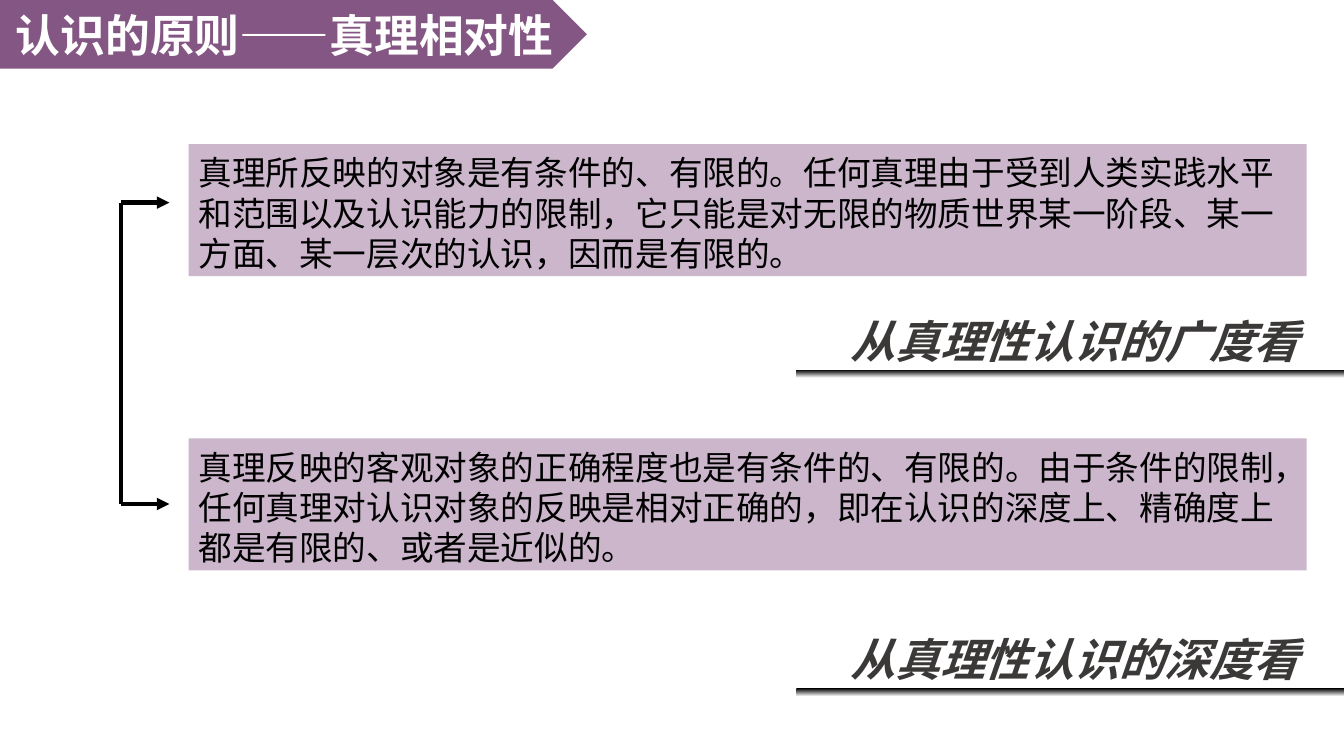
from dataclasses import dataclass

import pptx
import pptx.dml.color
import pptx.enum.shapes
import pptx.enum.text
import pptx.oxml.ns
import pptx.util
from lxml import etree

TITLE = "认识的原则——真理相对性"
VIEWS = [
    ("真理所反映的对象是有条件的、有限的。任何真理由于受到人类实践水平和范围以及认识能力的限制，"
     "它只能是对无限的物质世界某一阶段、某一方面、某一层次的认识，因而是有限的。",
     "从真理性认识的广度看"),
    ("真理反映的客观对象的正确程度也是有条件的、有限的。由于条件的限制，任何真理对认识对象的反映是"
     "相对正确的，即在认识的深度上、精确度上都是有限的、或者是近似的。",
     "从真理性认识的深度看"),
]


@dataclass(frozen=True)
class Theme:
    font: str = "Noto Sans CJK SC"
    banner: str = "5A1B58"
    panel: str = "7F4980"
    ink: str = "000000"
    heading: str = "3B3838"
    paper: str = "FFFFFF"
    large: int = 32
    body: int = 24
    leading: float = 1.2
    stroke: int = 3


THEME = Theme()
WIDTH, HEIGHT = 13.33, 7.5
PANEL_LEFT, PANEL_WIDTH, PANEL_HEIGHT = 1.87, 11.09, 1.31
PANEL_TOPS = (1.43, 4.35)
HEADING_LEFT, HEADING_WIDTH, HEADING_HEIGHT = 7.51, 6.3, 0.64
HEADING_TOPS = (3.03, 6.19)
RULE_LEFT, RULE_HEIGHT = 7.9, 0.08
BRACKET_LEFT, BRACKET_RIGHT = 1.2, 1.68
BRACKET_ENDS = (2.01, 5)

SHAPES = pptx.enum.shapes.MSO_SHAPE
ALIGN = pptx.enum.text.PP_ALIGN
ANCHOR = pptx.enum.text.MSO_ANCHOR


def rgb(colour):
    return pptx.dml.color.RGBColor.from_string(colour)


def add_child(parent, tag, **attributes):
    return etree.SubElement(parent, pptx.oxml.ns.qn(tag), attributes)


def inches(*lengths):
    return [pptx.util.Inches(length) for length in lengths]


def add_block(slide, kind, box, colour=None, opacity=100):
    block = slide.shapes.add_shape(kind, *inches(*box))
    block.shadow.inherit = False
    block.line.fill.background()
    if colour:
        block.fill.solid()
        block.fill.fore_color.rgb = rgb(colour)
        tint = block.fill._xPr.find(".//" + pptx.oxml.ns.qn("a:srgbClr"))
        add_child(tint, "a:alpha", val=str(opacity * 1000))
    return block


def write(holder, words, size, colour, align, anchor=ANCHOR.TOP,
          bold=False, italic=False, tight=True):
    """Fill a shape with one paragraph; tight fixes the line height."""
    frame = holder.text_frame
    frame.word_wrap = True
    frame.vertical_anchor = anchor
    frame.text = words
    paragraph = frame.paragraphs[0]
    paragraph.alignment = align
    if tight:
        frame.margin_top = pptx.util.Inches(0.08)
        paragraph.line_spacing = pptx.util.Pt(size * THEME.leading)
    for run in paragraph.runs:
        run.font.size = pptx.util.Pt(size)
        run.font.bold, run.font.italic = bold, italic
        run.font.color.rgb = rgb(colour)
        run.font.name = THEME.font
        add_child(run.font._element, "a:ea", typeface=THEME.font)


def add_stroke(slide, start, end, arrow=False):
    stroke = slide.shapes.add_connector(
        pptx.enum.shapes.MSO_CONNECTOR.STRAIGHT, *inches(*start, *end))
    stroke.line.width = pptx.util.Pt(THEME.stroke)
    stroke.line.color.rgb = rgb(THEME.ink)
    if arrow:
        add_child(stroke.line._get_or_add_ln(), "a:tailEnd", type="triangle")
    add_child(stroke._element.spPr, "a:effectLst")


def add_view(slide, statement, heading, panel_top, heading_top):
    caption = slide.shapes.add_textbox(
        *inches(HEADING_LEFT, heading_top, HEADING_WIDTH, HEADING_HEIGHT))
    write(caption, heading, THEME.large, THEME.heading, ALIGN.CENTER,
          bold=True, italic=True)

    rule = add_block(slide, SHAPES.RECTANGLE,
                     (RULE_LEFT, heading_top + HEADING_HEIGHT,
                      WIDTH - RULE_LEFT, RULE_HEIGHT))
    rule.fill.gradient()
    rule.fill.gradient_angle = 270
    for stop, colour in zip(rule.fill.gradient_stops, (THEME.ink, THEME.paper)):
        stop.color.rgb = rgb(colour)

    panel = add_block(slide, SHAPES.RECTANGLE,
                      (PANEL_LEFT, panel_top, PANEL_WIDTH, PANEL_HEIGHT),
                      THEME.panel, opacity=40)
    write(panel, statement, THEME.body, THEME.ink, ALIGN.LEFT)


def main():
    deck = pptx.Presentation()
    deck.slide_width, deck.slide_height = inches(WIDTH, HEIGHT)
    slide = deck.slides.add_slide(deck.slide_layouts[6])

    banner = add_block(slide, SHAPES.PENTAGON, (0, 0, 5.82, 0.68),
                       THEME.banner, opacity=74)
    write(banner, TITLE, THEME.large, THEME.paper, ALIGN.CENTER,
          ANCHOR.MIDDLE, bold=True, tight=False)

    for (statement, heading), panel_top, heading_top in zip(
            VIEWS, PANEL_TOPS, HEADING_TOPS):
        add_view(slide, statement, heading, panel_top, heading_top)

    add_stroke(slide, *((BRACKET_LEFT, end) for end in BRACKET_ENDS))
    for end in BRACKET_ENDS:
        add_stroke(slide, (BRACKET_LEFT, end), (BRACKET_RIGHT, end), arrow=True)

    deck.save("out.pptx")


if __name__ == "__main__":
    main()
